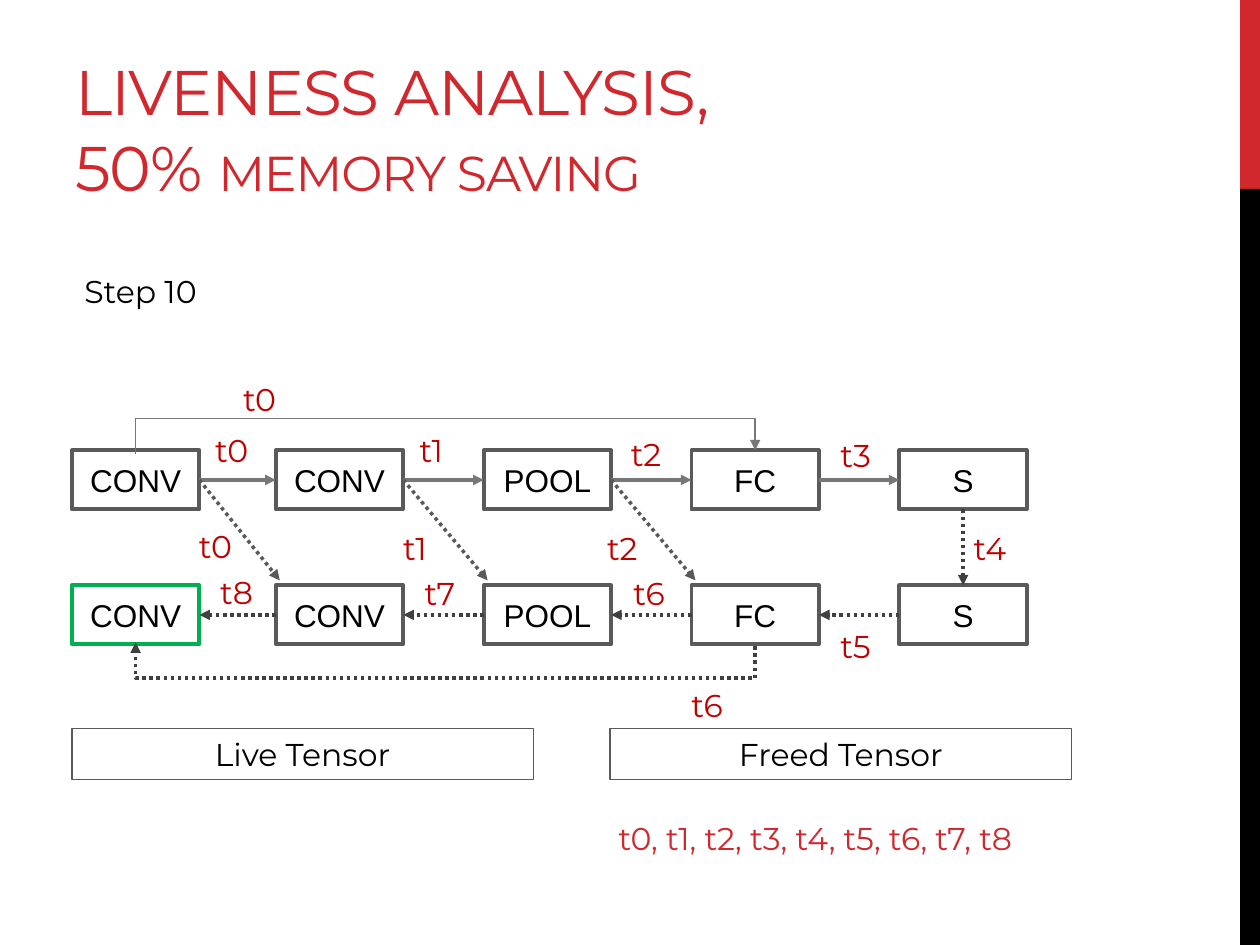
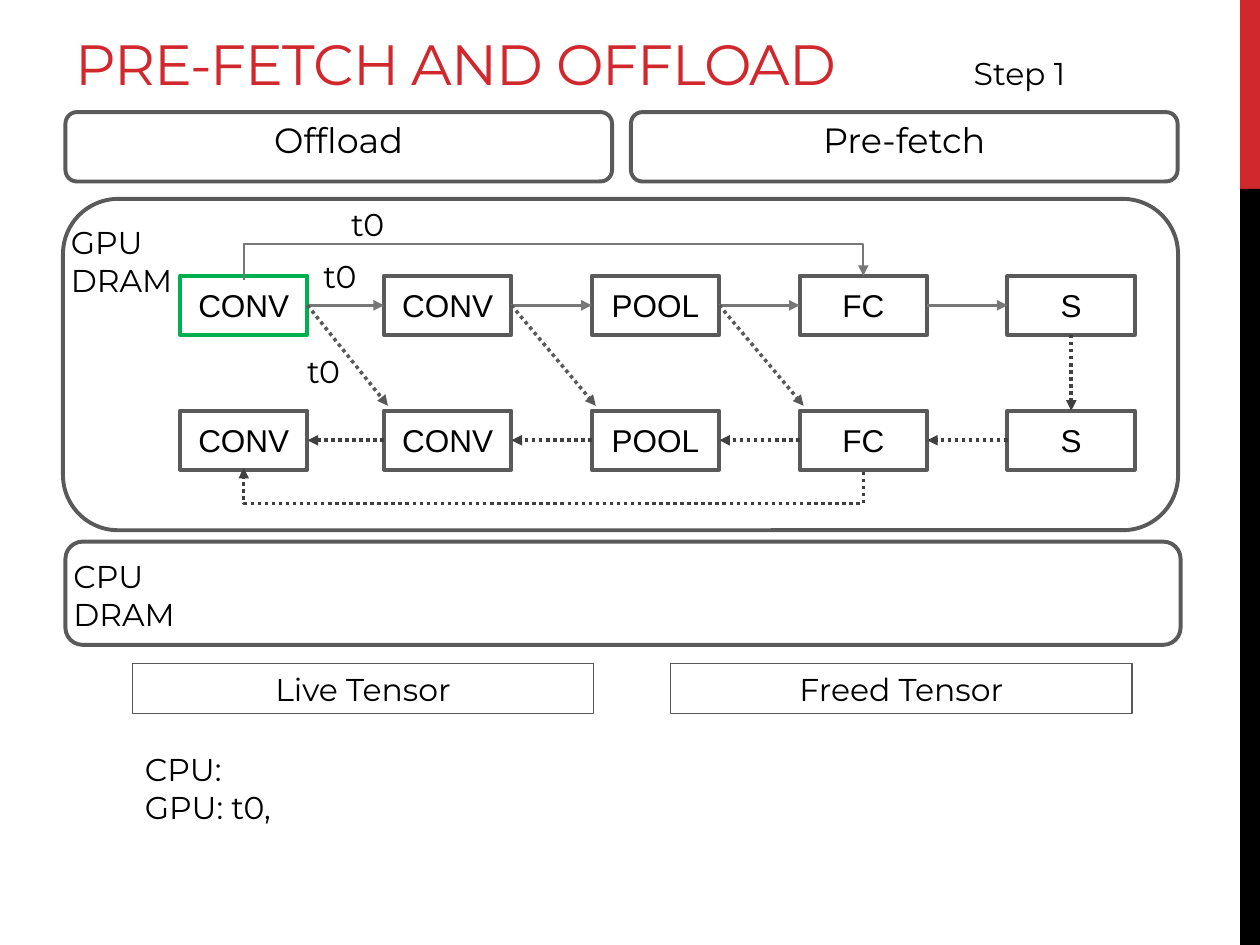
from pptx import Presentation
from pptx.dml.color import RGBColor
from pptx.enum.dml import MSO_LINE
from pptx.enum.shapes import MSO_CONNECTOR, MSO_SHAPE
from pptx.enum.text import MSO_ANCHOR, PP_ALIGN
from pptx.oxml.ns import qn
from pptx.util import Cm, Pt
from lxml import etree

RECT, ROUND = MSO_SHAPE.RECTANGLE, MSO_SHAPE.ROUNDED_RECTANGLE
STRAIGHT, ELBOW = MSO_CONNECTOR.STRAIGHT, MSO_CONNECTOR.ELBOW
LEFT, CENTER = PP_ALIGN.LEFT, PP_ALIGN.CENTER
TOP, MIDDLE, BOTTOM = MSO_ANCHOR.TOP, MSO_ANCHOR.MIDDLE, MSO_ANCHOR.BOTTOM
DOTS = MSO_LINE.ROUND_DOT


class Theme:
    red = RGBColor(0xD1, 0x28, 0x2E)
    dark_red = RGBColor(0xC0, 0x00, 0x00)
    black = RGBColor(0x00, 0x00, 0x00)
    green = RGBColor(0x00, 0xB0, 0x50)
    edge = RGBColor(0x5A, 0x5A, 0x5A)
    ahead = RGBColor(0x77, 0x77, 0x77)
    reuse = RGBColor(0x59, 0x59, 0x59)
    back = RGBColor(0x40, 0x40, 0x40)
    font, node_font = "Montserrat", "Arial"
    body, panel = 18, 20
    thin, thick, flow = 0.75, 2.25, 2


def box(slide, kind, x, y, w, h, text="", edge=None, width=Theme.thick, ink=Theme.black,
        size=Theme.body, font=Theme.font, align=LEFT, anchor=TOP):
    place = Cm(x), Cm(y), Cm(w), Cm(h)
    if kind is None:
        shape = slide.shapes.add_textbox(*place)
    else:
        shape = slide.shapes.add_shape(kind, *place)
        shape.shadow.inherit = False
        shape.fill.background()
        if edge is None:
            shape.line.fill.background()
        else:
            shape.line.color.rgb = edge
            shape.line.width = Pt(width)
    frame = shape.text_frame
    frame.word_wrap = True
    frame.vertical_anchor = anchor
    frame.text = text
    for para in frame.paragraphs:
        para.alignment = align
        for run in para.runs:
            run.font.name = font
            run.font.size = Pt(size)
            run.font.color.rgb = ink
    return shape


def link(slide, kind, start, end, ink, width=Theme.flow, dash=None):
    line = slide.shapes.add_connector(kind, *map(Cm, start + end))
    line.line.color.rgb = ink
    line.line.width = Pt(width)
    if dash is not None:
        line.line.dash_style = dash
    props = line.element.spPr
    tail = etree.SubElement(props.find(qn("a:ln")), qn("a:tailEnd"))
    tail.set("type", "triangle")
    etree.SubElement(props, qn("a:effectLst"))
    return props


deck = Presentation()
deck.slide_width, deck.slide_height = Cm(25.4), Cm(19.05)
blank = deck.slide_layouts[6]

names = ["CONV", "CONV", "POOL", "FC", "S"]
node_w, node_h, row_gap = 2.57, 1.19, 2.72
mid = node_h / 2
jog = 0.08

first_tags = [("t0", 3.2, -1.55), ("t0", 2.64, -0.51), ("t0", 2.31, 1.42)]
more_tags = [
    ("t1", 6.76, -0.51), ("t1", 6.43, 1.45), ("t2", 11.02, -0.43), ("t2", 10.54, 1.45),
    ("t3", 15.24, -0.41), ("t4", 17.93, 1.45), ("t5", 15.24, 3.43), ("t6", 11.07, 2.36),
    ("t6", 12.24, 4.62), ("t7", 6.86, 2.36), ("t8", 2.74, 2.34),
]

pages = [
    dict(title=[("LIVENESS ANALYSIS,\v50% ", 36), ("MEMORY SAVING", 28)], title_h=3.81,
         step=("Step 10", 1.45, 5.36), graph=(1.45, 9.08), live=(1, 0),
         tags=first_tags + more_tags, ink=Theme.dark_red, keys=(1.45, 14.69)),
    dict(title=[("PRE-FETCH AND OFFLOAD", 32.4)], title_h=1.65,
         step=("Step 1", 19.38, 0.97), graph=(3.63, 5.56), live=(0, 0),
         tags=first_tags, ink=Theme.black, keys=(2.67, 13.37)),
]

for page in pages:
    slide = deck.slides.add_slide(blank)
    for top, tall, ink in [(0, 3.81, Theme.red), (3.81, 15.24, Theme.black)]:
        band = box(slide, RECT, 25, top, 0.4, tall)
        band.fill.solid()
        band.fill.fore_color.rgb = ink

    title = box(slide, None, 1.27, 0.43, 22.4, page["title_h"], anchor=BOTTOM)
    para = title.text_frame.paragraphs[0]
    para.text = page["title"][0][0]
    for text, size in page["title"][1:]:
        para.add_run().text = text
    for run, (text, size) in zip(para.runs[-len(page["title"]):], page["title"]):
        run.font.size = Pt(size)
    for run in para.runs:
        run.font.size = run.font.size or Pt(page["title"][0][1])
        run.font.name = Theme.font
        run.font.color.rgb = Theme.red
        run.font._element.set("spc", "-60")

    text, x, y = page["step"]
    box(slide, None, x, y, 3.6, 1.02, text)

    left, top = page["graph"]
    cols = [left + max(0, 4.19 * i - 0.08) for i in range(len(names))]
    rows = [top, top + row_gap]
    for r, y in enumerate(rows):
        for c, x in enumerate(cols):
            edge = Theme.green if (r, c) == page["live"] else Theme.edge
            box(slide, RECT, x, y, node_w, node_h, names[c], edge,
                font=Theme.node_font, align=CENTER, anchor=MIDDLE)

    for c, (x, after) in enumerate(zip(cols, cols[1:])):
        right = x + node_w
        link(slide, STRAIGHT, (right, top + mid), (after, top + mid), Theme.ahead)
        link(slide, STRAIGHT, (after, rows[1] + mid), (right, rows[1] + mid),
             Theme.back, dash=DOTS)
        if c < 3:
            link(slide, STRAIGHT, (right, top + mid), (after + 0.08, rows[1] - 0.1),
                 Theme.reuse, dash=DOTS)
    drop = cols[-1] + node_w / 2
    link(slide, STRAIGHT, (drop, top + node_h), (drop, rows[1]), Theme.back, dash=DOTS)

    half = (cols[3] - cols[0]) / 2
    hub = cols[0] + node_w / 2 + half
    skips = [
        (top + jog / 2, half, 9, Theme.ahead, 1, None),
        (rows[1] + node_h, -half, -8, Theme.back, Theme.flow, DOTS),
    ]
    for y, reach, bend, ink, width, dash in skips:
        props = link(slide, ELBOW, (hub + jog / 2, y + reach), (hub - jog / 2, y - reach),
                     ink, width, dash)
        props.find(qn("a:xfrm")).set("rot", "5400000")
        guides = props.find(qn("a:prstGeom")).find(qn("a:avLst"))
        guide = etree.SubElement(guides, qn("a:gd"))
        guide.set("name", "adj1")
        guide.set("fmla", f"val {bend * 100000}")

    for text, x, y in page["tags"]:
        box(slide, None, left + x, top + y, 1.4, 1.02, text, ink=page["ink"])

    x, y = page["keys"]
    for i, text in enumerate(["Live Tensor", "Freed Tensor"]):
        box(slide, RECT, x + 10.85 * i, y, 9.3, 1.02, text, Theme.reuse, Theme.thin,
            align=CENTER, anchor=MIDDLE)

live, fetch = deck.slides
box(live, None, 12.22, 16.38, 11.18, 1.02, "t0, t1, t2, t3, t4, t5, t6, t7, t8", ink=Theme.red)

for i, text in enumerate(["Offload", "Pre-fetch"]):
    panel = box(fetch, ROUND, 1.32 + 11.4 * i, 2.26, 11.02, 1.4, text, Theme.edge,
                size=Theme.panel, align=CENTER)
    panel.text_frame.margin_top = Cm(0.06)
for text, x, y, w, h, gap in [("GPU\nDRAM", 1.27, 4.01, 22.48, 6.68, 0.36),
                              ("CPU\nDRAM", 1.32, 10.92, 22.48, 2.08, 0.18)]:
    box(fetch, ROUND, x, y, w, h, edge=Theme.edge)
    box(fetch, None, x - 0.09, y + gap, 3.02, 1.8, text)
box(fetch, None, 2.67, 14.99, 9.3, 1.8, "CPU:\nGPU: t0,")

deck.save("out.pptx")
